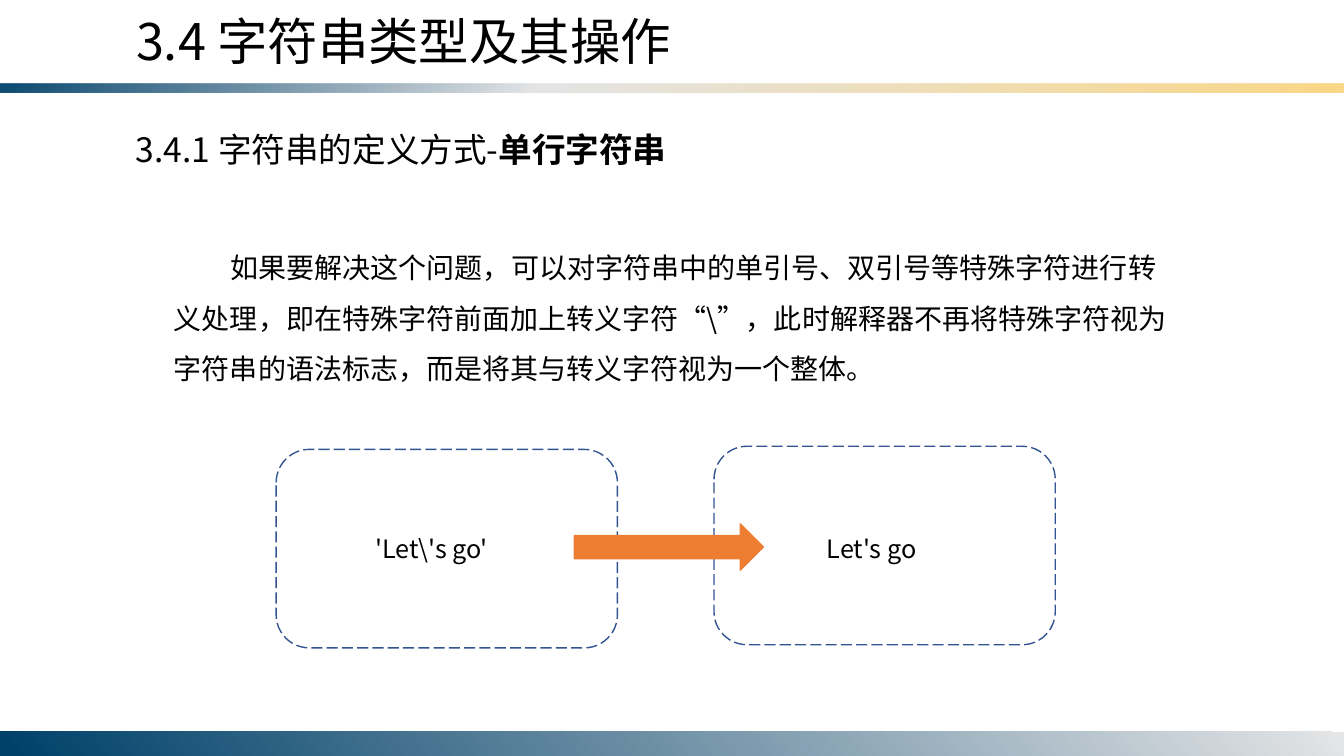
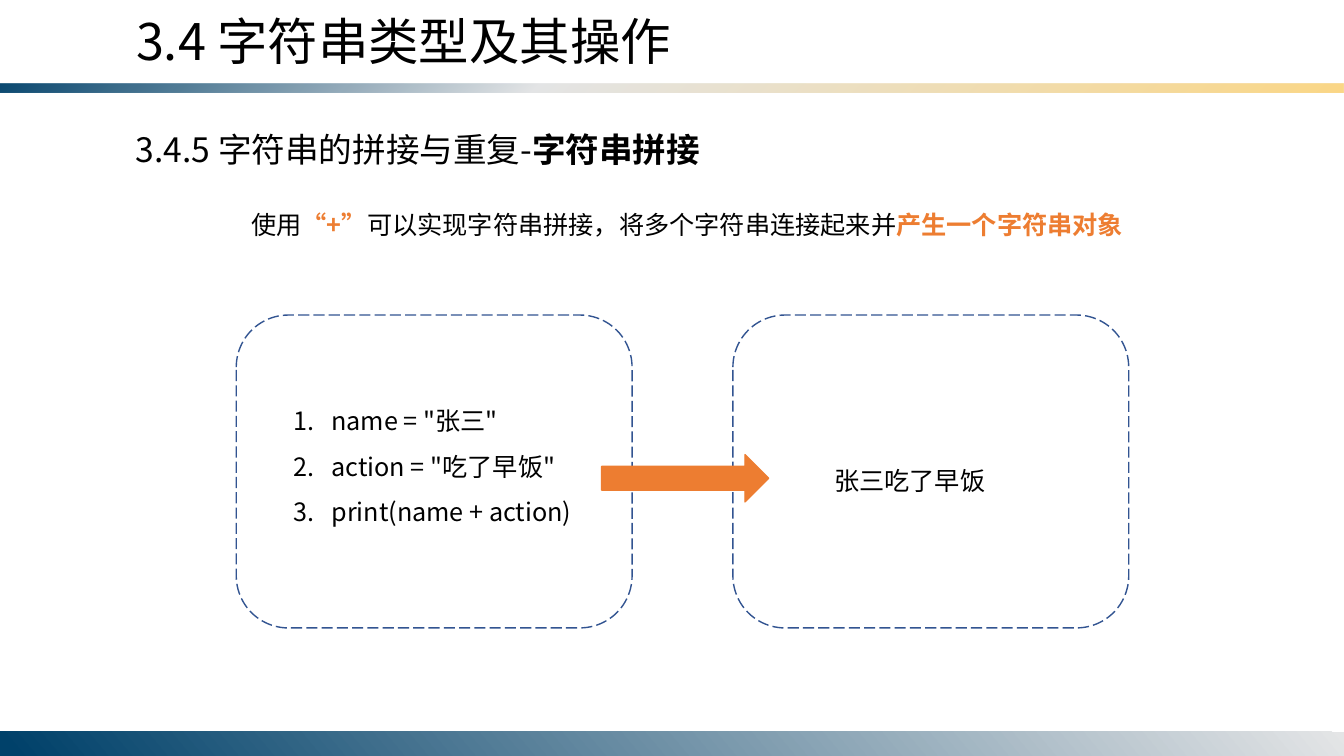
from pptx import Presentation
from pptx.dml.color import RGBColor
from pptx.enum.dml import MSO_LINE_DASH_STYLE as Dash
from pptx.enum.shapes import MSO_SHAPE as Preset
from pptx.enum.text import MSO_ANCHOR as Anchor, MSO_AUTO_SIZE as AutoSize, PP_ALIGN as Align
from pptx.oxml.ns import qn
from pptx.util import Emu, Pt
from lxml.etree import SubElement

FONT = "Noto Sans CJK SC"
BLACK = RGBColor(0x00, 0x00, 0x00)
ORANGE = RGBColor(0xED, 0x7D, 0x31)
OUTLINE = RGBColor(0x32, 0x54, 0x91)
NAVY = RGBColor(0x00, 0x41, 0x6A)
SILVER = RGBColor(0xE4, 0xE5, 0xE6)
GOLD = RGBColor(0xFB, 0xD7, 0x86)

PAGE_W, PAGE_H = 1280, 720
SECTION = "3.4 字符串类型及其操作"


def px(length):
    return Emu(length * 9525)


def place(shape, at):
    shape.left, shape.top, shape.width, shape.height = map(px, at)


# Text
def add_span(para, text, size, color=BLACK, bold=False):
    span = para.add_run()
    span.text = text
    font = span.font
    font.size, font.bold, font.name = Pt(size), bold, FONT
    font.color.rgb = color
    SubElement(font._element, qn("a:ea"), typeface=FONT)


def write(shape, paragraphs, size, spacing=1.0, margin=0, indent=0, numbered=False):
    """Each paragraph is a list of spans: (text, colour, bold), the last two optional."""
    frame = shape.text_frame
    frame.word_wrap = True
    frame.auto_size = AutoSize.NONE
    frame.vertical_anchor = Anchor.TOP
    for index, spans in enumerate(paragraphs):
        para = frame.add_paragraph() if index else frame.paragraphs[0]
        para.alignment = Align.LEFT
        para.line_spacing = spacing
        para.space_before = Pt(0)
        props = para._p.get_or_add_pPr()
        props.set("marL", str(px(margin)))
        props.set("indent", str(px(indent)))
        if numbered:
            SubElement(props, qn("a:buFont"), typeface="+mj-lt")
            SubElement(props, qn("a:buAutoNum"), type="arabicPeriod")
        else:
            SubElement(props, qn("a:buNone"))
        for span in spans:
            add_span(para, span[0], size, *span[1:])


def add_text(page, at, spans, size, **layout):
    box = page.shapes.add_textbox(*map(px, at))
    write(box, [spans], size, **layout)


def fill_body(page, at, paragraphs, size, **layout):
    body = page.placeholders[1]
    place(body, at)
    write(body, paragraphs, size, **layout)


# Shapes
def add_preset(page, preset, at):
    shape = page.shapes.add_shape(preset, *map(px, at))
    shape.shadow.inherit = False
    return shape


def add_panels(page, *places):
    for at in places:
        panel = add_preset(page, Preset.ROUNDED_RECTANGLE, at)
        panel.fill.background()
        panel.line.color.rgb = OUTLINE
        panel.line.width = Pt(1)
        panel.line.dash_style = Dash.LONG_DASH


def add_block_arrow(page, at):
    arrow = add_preset(page, Preset.RIGHT_ARROW, at)
    arrow.fill.solid()
    arrow.fill.fore_color.rgb = ORANGE
    arrow.line.color.rgb = ORANGE
    arrow.line.width = Pt(1)


# Shared bands, kept on the layout
def add_band(page, at, stops, clockwise, shape_id):
    band = add_preset(page, Preset.RECTANGLE, at)
    band.line.fill.background()
    band.fill.gradient()
    band.fill.gradient_angle = 360 - clockwise
    stop_list = band._element.spPr.find(qn("a:gradFill")).find(qn("a:gsLst"))
    for stop in list(stop_list):
        stop_list.remove(stop)
    for percent, color, opacity in stops:
        stop = SubElement(stop_list, qn("a:gs"), pos=str(percent * 1000))
        tone = SubElement(stop, qn("a:srgbClr"), val=str(color))
        if opacity < 100:
            SubElement(tone, qn("a:alpha"), val=str(opacity * 1000))
    band._element.nvSpPr.cNvPr.set("id", str(shape_id))
    page.slide_layout.shapes._spTree.append(band._element)


def add_bands(page):
    add_band(page, (0, 80, PAGE_W, 8),
             [(0, NAVY, 95), (40, SILVER, 100), (100, GOLD, 100)], 50, 21)
    add_band(page, (0, PAGE_H - 23, PAGE_W, 23),
             [(0, SILVER, 100), (99, NAVY, 100)], 140, 22)


def add_page(deck, topic, detail):
    page = deck.slides.add_slide(deck.slide_layouts[1])
    place(page.shapes.title, (120, 5, 588, 76))
    write(page.shapes.title, [[(SECTION,)]], 36)
    add_text(page, (120, 118, 612, 48), [(topic,), (detail, BLACK, True)], 24)
    return page


# Slides
def add_escape_page(deck):
    page = add_page(deck, "3.4.1 字符串的定义方式-", "单行字符串")
    add_bands(page)
    explanation = (
        "如果要解决这个问题，可以对字符串中的单引号、双引号等特殊字符进行转义处理，"
        "即在特殊字符前面加上转义字符“\\”，此时解释器不再将特殊字符视为字符串的语法标志，"
        "而是将其与转义字符视为一个整体。"
    )
    fill_body(page, (156, 218, 968, 155), [[(explanation,)]], 20, spacing=1.5, indent=54)
    add_panels(page, (263, 428, 325, 189), (680, 425, 325, 189))
    for left, text in ((320, "'Let\\'s go'"), (750, "Let's go")):
        add_text(page, (left, 503, 212, 38), [(text,)], 18, indent=28)
    add_block_arrow(page, (547, 499, 180, 44))


def add_joining_page(deck):
    page = add_page(deck, "3.4.5 字符串的拼接与重复-", "字符串拼接")
    add_text(page, (230, 180, 885, 53), [
        ("使用",),
        ("“+”", ORANGE, True),
        ("可以实现字符串拼接，将多个字符串连接起来并",),
        ("产生一个字符串对象", ORANGE, True),
    ], 18, spacing=1.5)
    add_panels(page, (225, 300, 377, 298), (698, 300, 377, 298))
    code = ['name = "张三"', 'action = "吃了早饭"', "print(name + action)"]
    fill_body(page, (270, 367, 287, 140), [[(line,)] for line in code], 18,
              spacing=1.5, margin=36, indent=-36, numbered=True)
    add_text(page, (785, 424, 268, 53), [("张三吃了早饭",)], 18, spacing=1.5)
    add_block_arrow(page, (573, 433, 159, 45))


def main():
    deck = Presentation()
    deck.slide_width, deck.slide_height = px(PAGE_W), px(PAGE_H)
    add_escape_page(deck)
    add_joining_page(deck)
    deck.save("out.pptx")


if __name__ == "__main__":
    main()
